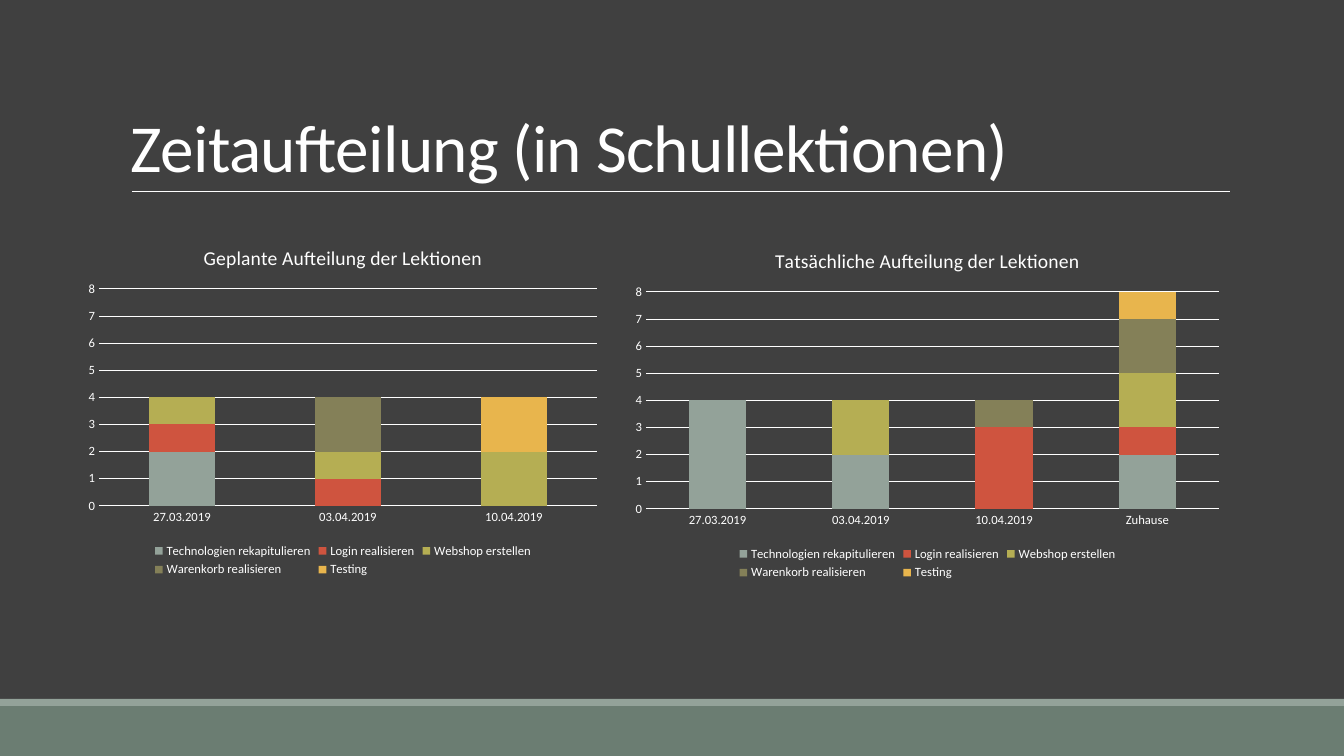
from lxml import etree
from pptx import Presentation, util as u
from pptx.chart.data import CategoryChartData
from pptx.dml.color import RGBColor
from pptx.enum import chart as ch, shapes, text
from pptx.oxml import parse_xml
from pptx.oxml.ns import nsdecls, qn

# Content
TITLE = "Zeitaufteilung (in Schullektionen)"
DATES = ["27.03.2019", "03.04.2019", "10.04.2019"]
TASKS = {
    "Technologien rekapitulieren": "sage",
    "Login realisieren": "red",
    "Webshop erstellen": "olive",
    "Warenkorb realisieren": "moss",
    "Testing": "amber",
}
# One row of lessons per task, in the order of TASKS
CHARTS = [
    {"title": "Geplante Aufteilung der Lektionen",
     "box": (78, 228, 530, 353),
     "categories": DATES,
     "lessons": [(2, 0, 0), (1, 1, 0), (1, 1, 2), (0, 2, 0), (0, 0, 2)]},
    {"title": "Tatsächliche Aufteilung der Lektionen",
     "box": (625, 231, 605, 353),
     "categories": DATES + ["Zuhause"],
     "lessons": [(4, 2, 0, 2), (0, 0, 3, 1), (0, 2, 0, 2), (0, 0, 1, 2), (0, 0, 0, 1)]},
]

# Look
COLORS = {"back": "404040", "band": "6B7D72", "sage": "93A299", "white": "FFFFFF",
          "red": "CF543F", "olive": "B5AE53", "moss": "848058", "amber": "E8B54D"}
FONT = "Calibri"
PAGE_W, PAGE_H = 1344, 756
BANDS = [("band", 706, 50), ("sage", 699, 7)]
TITLE_BOX = (121, 31, 1109, 160)
RULE = (132, 191, 1230, 191)
PLOT_LEFT, PLOT_RIGHT, PLOT_TOP, PLOT_H = 21, 11, 61, 217


def emu(*lengths):
    return [u.Emu(round(px * 914400 / 100.8)) for px in lengths]


def color(name):
    return RGBColor.from_string(COLORS[name])


def style_font(font, size):
    for key, value in {"name": FONT, "size": u.Pt(size), "bold": False}.items():
        setattr(font, key, value)
    font.color.rgb = color("white")


def style_line(line, width):
    line.color.rgb = color("white")
    line.width = u.Pt(width)


def place_plot(chart, width, height):
    """Fix the inner plot area at the same insets in each chart."""
    parts = {"x": PLOT_LEFT / width, "y": PLOT_TOP / height,
             "w": (width - PLOT_LEFT - PLOT_RIGHT) / width, "h": PLOT_H / height}
    rows = '<c:layoutTarget val="inner"/><c:xMode val="edge"/><c:yMode val="edge"/>'
    rows += "".join(f'<c:{key} val="{part:.4f}"/>' for key, part in parts.items())
    layout = parse_xml(f'<c:layout {nsdecls("c")}><c:manualLayout>{rows}'
                       '</c:manualLayout></c:layout>')
    area = chart.element.find(".//" + qn("c:plotArea"))
    for old in area.findall(qn("c:layout")):
        area.remove(old)
    area.insert(0, layout)


def add_lesson_chart(page, item):
    data = CategoryChartData()
    data.categories = item["categories"]
    for task, lessons in zip(TASKS, item["lessons"]):
        data.add_series(task, lessons)
    chart = page.shapes.add_chart(
        ch.XL_CHART_TYPE.COLUMN_STACKED, *emu(*item["box"]), data).chart
    style_font(chart.font, 10)

    # Title and legend
    frame = chart.chart_title.text_frame
    frame.text = item["title"]
    style_font(frame.paragraphs[0].runs[0].font, 14)
    chart.has_legend = True
    chart.legend.position = ch.XL_LEGEND_POSITION.BOTTOM
    chart.legend.include_in_layout = False
    style_font(chart.legend.font, 9)

    # Axes
    for axis in (chart.category_axis, chart.value_axis):
        axis.major_tick_mark = axis.minor_tick_mark = ch.XL_TICK_MARK.NONE
        style_font(axis.tick_labels.font, 9)
    style_line(chart.category_axis.format.line, 0.75)
    values = chart.value_axis
    values.minimum_scale, values.maximum_scale, values.major_unit = 0, 8, 1
    values.format.line.fill.background()
    style_line(values.major_gridlines.format.line, 0.75)

    # Columns
    plot = chart.plots[0]
    plot.gap_width, plot.overlap, plot.vary_by_categories = 150, 100, False
    for series, name in zip(plot.series, TASKS.values()):
        series.format.fill.solid()
        series.format.fill.fore_color.rgb = color(name)
    place_plot(chart, *item["box"][2:])


def main():
    deck = Presentation()
    deck.slide_width, deck.slide_height = emu(PAGE_W, PAGE_H)
    page = deck.slides.add_slide(deck.slide_layouts[6])
    page.background.fill.solid()
    page.background.fill.fore_color.rgb = color("back")

    # Bottom bands
    for name, top, height in BANDS:
        band = page.shapes.add_shape(
            shapes.MSO_SHAPE.RECTANGLE, *emu(0, top, PAGE_W, height))
        band.shadow.inherit = False
        band.fill.solid()
        band.fill.fore_color.rgb = color(name)
        band.line.fill.background()

    # Title and the rule below it
    rule = page.shapes.add_connector(shapes.MSO_CONNECTOR.STRAIGHT, *emu(*RULE))
    style_line(rule.line, 0.5)
    etree.SubElement(rule.element.spPr, qn("a:effectLst"))
    frame = page.shapes.add_textbox(*emu(*TITLE_BOX)).text_frame
    frame.word_wrap = True
    frame.vertical_anchor = text.MSO_ANCHOR.BOTTOM
    para = frame.paragraphs[0]
    para.line_spacing = 0.85
    span = para.add_run()
    span.text = TITLE
    style_font(span.font, 48)
    span.font.element.set("spc", "-50") if hasattr(span.font, "element") else \
        para.runs[0].font._element.set("spc", "-50") if hasattr(span.font, "_element") else \
        span._r.get_or_add_rPr().set("spc", "-50")

    # Charts
    for item in CHARTS:
        add_lesson_chart(page, item)

    deck.save("out.pptx")


if __name__ == "__main__":
    main()
